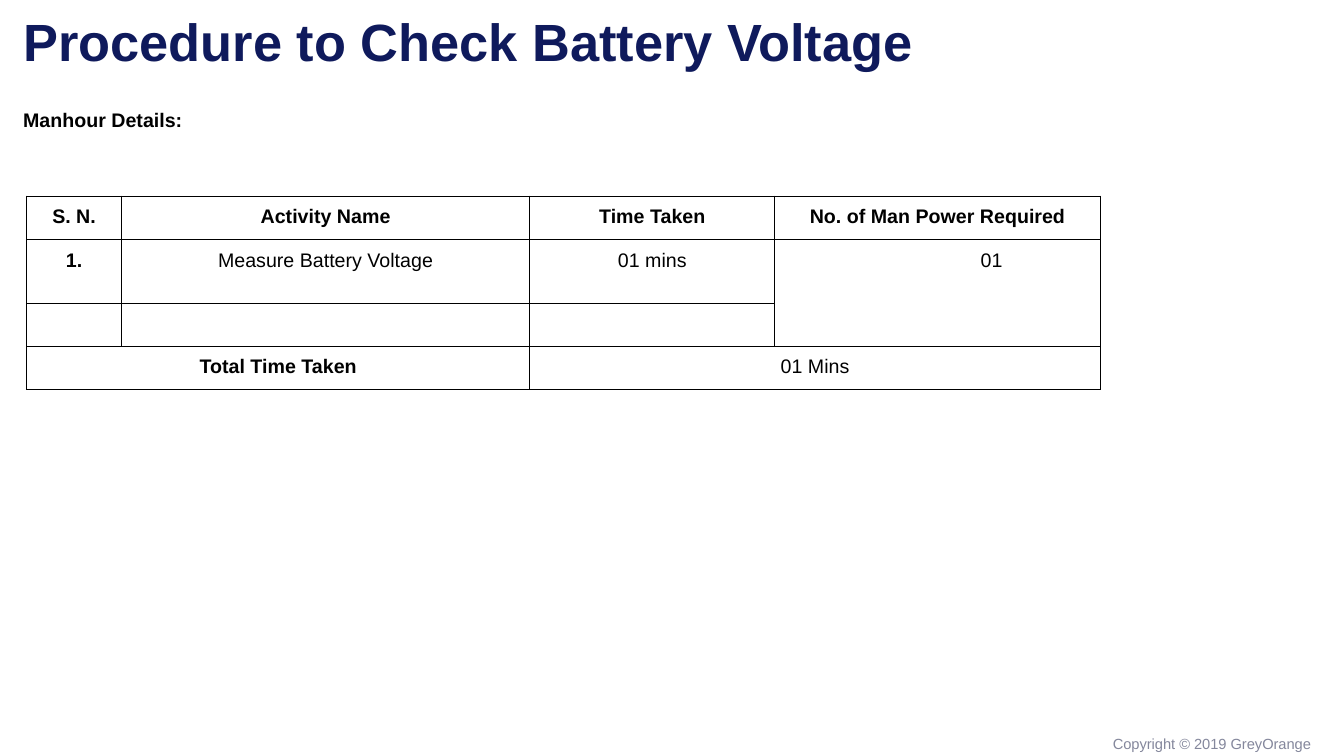
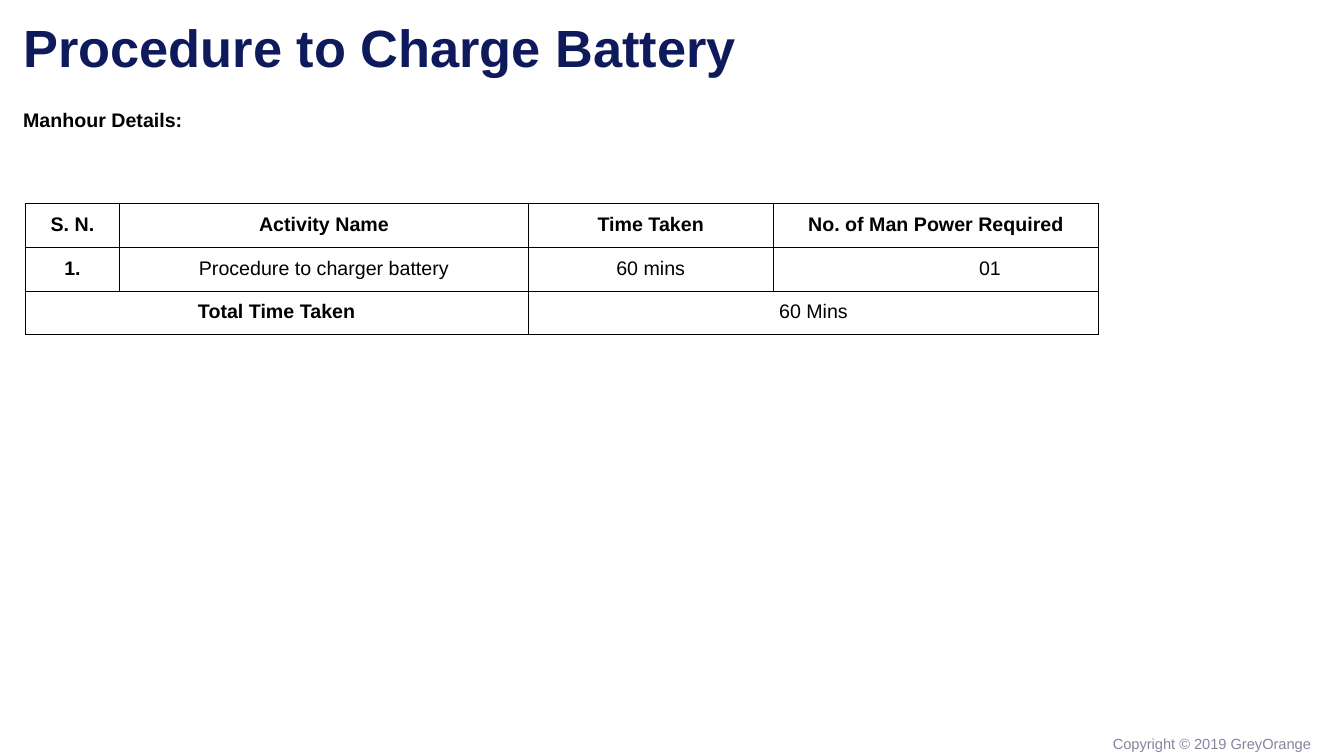
from lxml.etree import SubElement
from pptx import Presentation
from pptx.dml.color import RGBColor
from pptx.enum.text import MSO_ANCHOR, MSO_AUTO_SIZE, PP_ALIGN
from pptx.oxml.ns import qn
from pptx.util import Inches, Pt

COLORS = {"title": "0F1A5C", "text": "000000", "border": "000000", "footer": "84879C"}
FONT = "Arial"
BODY_SIZE = 14
LEFT = 0.98
COLUMN_SHARES = [7.05, 30.38, 18.23, 24.23]
ROW_SHARE = 5.6
TALL_ROW_SHARE = 8.47
CELL_INSET = 0.75
MANPOWER_INDENT = 8.78
HEADER = ["S. N.", "Activity Name", "Time Taken", "No. of Man Power Required"]


class Deck:
    def __init__(self):
        self.presentation = Presentation()
        self.presentation.slide_width = Inches(13.33)
        self.presentation.slide_height = Inches(7.5)
        self.slide = None

    def across(self, percent):
        return round(self.presentation.slide_width * percent / 100)

    def down(self, percent):
        return round(self.presentation.slide_height * percent / 100)

    def area(self, left, top, width, height):
        return self.across(left), self.down(top), self.across(width), self.down(height)

    def style(self, paragraph, size=BODY_SIZE, color="text", bold=False, align=PP_ALIGN.LEFT):
        paragraph.alignment = align
        font = paragraph.font
        font.name, font.size, font.bold = FONT, Pt(size), bold
        font.color.rgb = RGBColor.from_string(COLORS[color])

    def add_slide(self, title, title_top):
        self.slide = self.presentation.slides.add_slide(self.presentation.slide_layouts[5])
        self.add_footer()
        shape = self.slide.shapes.title
        shape.left, shape.top, shape.width, shape.height = self.area(LEFT, title_top, 95.57, 7.47)
        frame = shape.text_frame
        frame.text = title
        frame.word_wrap = True
        frame.auto_size = MSO_AUTO_SIZE.NONE
        frame.vertical_anchor = MSO_ANCHOR.MIDDLE
        paragraph = frame.paragraphs[0]
        paragraph.line_spacing = 0.7
        self.style(paragraph, 37.4, "title", bold=True)

    def add_text(self, text, area, inset=0.1, **style):
        frame = self.slide.shapes.add_textbox(*self.area(*area)).text_frame
        frame.word_wrap = True
        frame.margin_top = frame.margin_bottom = Inches(inset)
        frame.text = text
        self.style(frame.paragraphs[0], **style)

    def add_footer(self):
        self.add_text("Copyright © 2019 GreyOrange", (79.9, 96.53, 18.4, 3.73), inset=0.05,
                      size=10.5, color="footer", align=PP_ALIGN.RIGHT)

    def add_borders(self, cell):
        properties = cell._tc.get_or_add_tcPr()
        for side in ("lnL", "lnR", "lnT", "lnB"):
            line = SubElement(properties, qn(f"a:{side}"), w=str(Pt(0.75)))
            fill = SubElement(line, qn("a:solidFill"))
            SubElement(fill, qn("a:srgbClr"), val=COLORS["border"])

    def fill_cell(self, cell, text, bold, indent):
        cell.margin_left = self.across(indent)
        cell.margin_right = self.across(CELL_INSET)
        cell.margin_top = cell.margin_bottom = Inches(0.1 if text else 0)
        cell.text = text
        self.style(cell.text_frame.paragraphs[0], bold=bold, align=PP_ALIGN.CENTER)
        self.add_borders(cell)
        cell.fill.background()

    def add_manhours(self, left, top, activities, total, row_shares):
        self.add_text("Manhour Details:", (LEFT, 12.93, 24.6, 5.87), bold=True)
        rows = [HEADER, *activities, ["Total Time Taken", "", total, ""]]
        last = len(rows) - 1
        area = self.area(left, top, sum(COLUMN_SHARES), sum(row_shares))
        table = self.slide.shapes.add_table(len(rows), len(HEADER), *area).table
        table.first_row = table.horz_banding = False
        for column, share in zip(table.columns, COLUMN_SHARES):
            column.width = self.across(share)
        for row, share in zip(table.rows, row_shares):
            row.height = self.down(share)
        for y, texts in enumerate(rows):
            for x, text in enumerate(texts):
                is_manpower = x == 3 and 0 < y < last
                indent = MANPOWER_INDENT if is_manpower else CELL_INSET
                self.fill_cell(table.cell(y, x), text, y == 0 or x == 0, indent)
        for x in (0, 2):
            table.cell(last, x).merge(table.cell(last, x + 1))
        if len(activities) > 1:
            table.cell(1, 3).merge(table.cell(last - 1, 3))


def main():
    deck = Deck()
    deck.add_slide("Procedure to Check Battery Voltage", 2.67)
    deck.add_manhours(1.99, 25.93,
                      [["1.", "Measure Battery Voltage", "01 mins", "01"], [""] * 4],
                      "01 Mins", [ROW_SHARE, TALL_ROW_SHARE, ROW_SHARE, ROW_SHARE])
    deck.add_slide("Procedure to Charge Battery", 3.47)
    deck.add_manhours(1.87, 26.93,
                      [["1.", "Procedure to charger battery", "60 mins", "01"]],
                      "60 Mins", [ROW_SHARE] * 3)
    deck.presentation.save("out.pptx")


if __name__ == "__main__":
    main()
